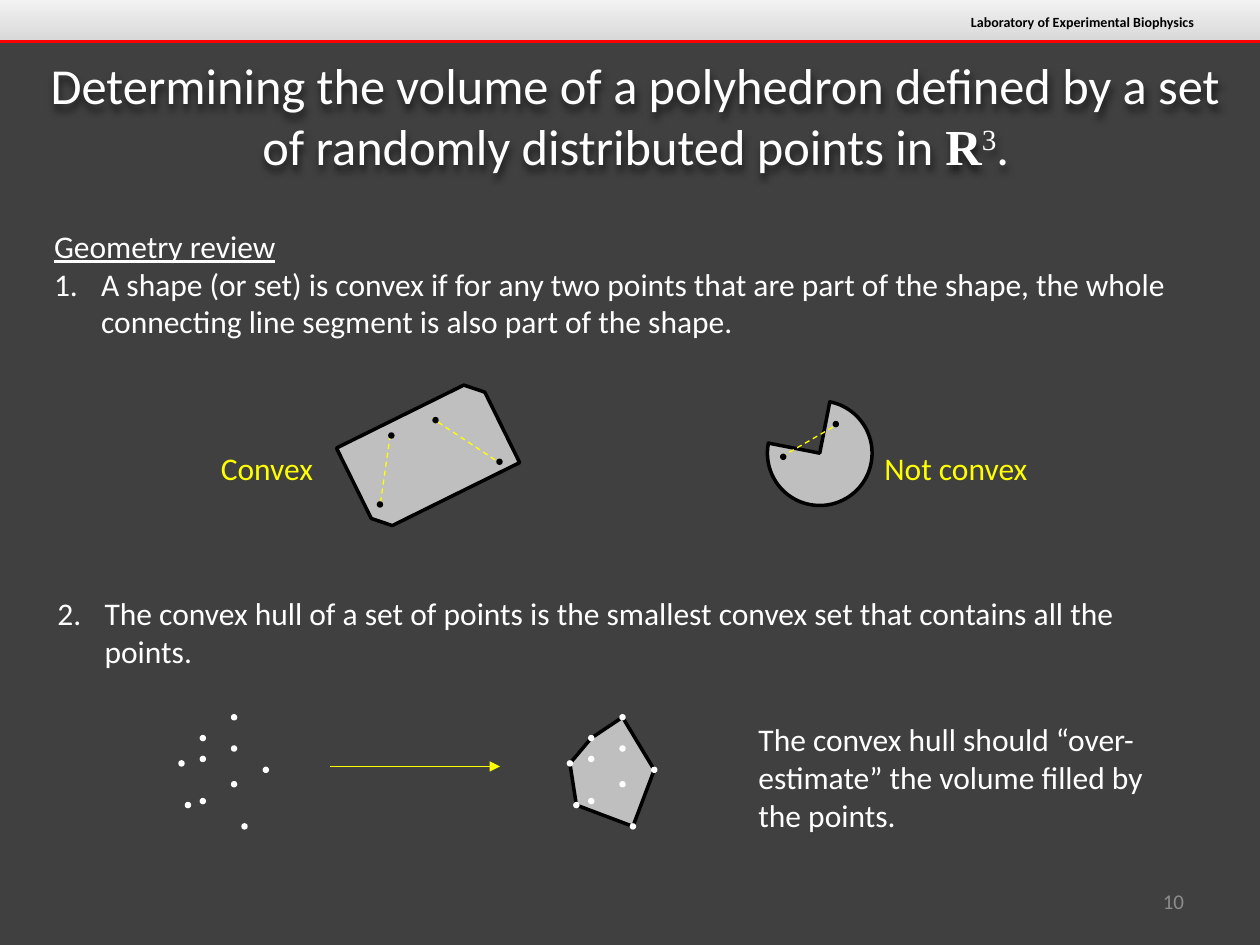
from lxml.etree import SubElement as Sub
from pptx import Presentation
from pptx.dml.color import RGBColor as RGB
from pptx.enum.dml import MSO_LINE as Dash
from pptx.enum.shapes import MSO_CONNECTOR as Link, MSO_SHAPE as Kind
from pptx.enum.text import MSO_ANCHOR as Anchor, MSO_AUTO_SIZE as Fit, PP_ALIGN as Align
from pptx.oxml.ns import qn
from pptx.util import Cm, Pt

HUES = {
    "back": "404040", "low": "D8D8D8", "high": "F2F2F2", "rule": "FF0000",
    "ink": "000000", "text": "FFFFFF", "mark": "FFFF00", "body": "BFBFBF",
    "page": "8C8C8C",
}
WIDE, HIGH, BAND = 25.4, 19.05, 0.84
DOT = 0.13
INDENT = 0.95

# Dot centres of the point cloud, and the dots on its hull in order
CLOUD = [
    (3.66, 15.39), (4.09, 14.88), (4.72, 15.81), (4.09, 15.3), (4.72, 14.46),
    (3.79, 16.23), (4.93, 16.66), (5.36, 15.52), (4.72, 15.09), (4.09, 16.15),
]
HULL = [0, 1, 4, 7, 6, 5]
SHIFT = 7.83

# Line segments inside the two shapes, and the dots at their ends
CHORDS = [
    ((9.98, 9.27), (8.71, 8.43)),
    ((7.67, 10.13), (7.87, 8.76)),
    ((16.79, 8.61), (15.82, 9.17)),
]
ENDS = [
    (10.07, 9.31), (8.78, 8.47), (7.89, 8.78),
    (7.66, 10.17), (16.85, 8.55), (15.79, 9.21),
]


def hue(name):
    return RGB.from_string(HUES[name])


class Deck:
    def __init__(self):
        self.prs = Presentation()
        self.prs.slide_width, self.prs.slide_height = Cm(WIDE), Cm(HIGH)
        self.slide = self.prs.slides.add_slide(self.prs.slide_layouts[6])
        self.items = self.slide.shapes
        self.face = {"name": "Calibri", "size": Pt(18)}
        fill = self.slide.background.fill
        fill.solid()
        fill.fore_color.rgb = hue("back")

    def paint(self, shape, fill, edge=None):
        shape.shadow.inherit = False
        shape.fill.solid()
        shape.fill.fore_color.rgb = hue(fill)
        if edge:
            shape.line.color.rgb = hue(edge)
            shape.line.width = Pt(2)
        else:
            shape.line.fill.background()
        return shape

    def shape(self, kind, box, fill, edge=None, turn=0):
        item = self.items.add_shape(kind, *map(Cm, box))
        item.rotation = turn
        return self.paint(item, fill, edge)

    def dots(self, spots, fill):
        for x, y in spots:
            self.shape(Kind.OVAL, (x - DOT / 2, y - DOT / 2, DOT, DOT), fill)

    def outline(self, spots, fill, edge):
        first, *rest = [(Cm(x), Cm(y)) for x, y in spots]
        pen = self.items.build_freeform(*first)
        pen.add_line_segments(rest, close=True)
        return self.paint(pen.convert_to_shape(), fill, edge)

    def line(self, start, end, tint, width=0.75, dash=None, arrow=False):
        item = self.items.add_connector(Link.STRAIGHT, *map(Cm, start + end))
        item.line.color.rgb = hue(tint)
        item.line.width = Pt(width)
        if dash:
            item.line.dash_style = dash
        if arrow:
            Sub(item.line._get_or_add_ln(), qn("a:tailEnd"), type="triangle")
        Sub(item._element.spPr, qn("a:effectLst"))

    def text(self, box, paras, tint="text", align=Align.LEFT, fit=Fit.NONE,
             anchor=Anchor.TOP, **base):
        """Each paragraph is (number or None, [(words, format), ...])."""
        item = self.items.add_textbox(*map(Cm, box))
        frame = item.text_frame
        frame.word_wrap, frame.auto_size = True, fit
        frame.vertical_anchor = anchor
        for i, (number, runs) in enumerate(paras):
            para = frame.add_paragraph() if i else frame.paragraphs[0]
            para.alignment = align
            if number:
                self.count(para, number)
            for words, extra in runs:
                run = para.add_run()
                run.text = words
                run.font.color.rgb = hue(tint)
                style = {**self.face, **base, **extra}
                raised = style.pop("raised", False)
                for key, value in style.items():
                    setattr(run.font, key, value)
                if raised:
                    run._r.get_or_add_rPr().set("baseline", "30000")
        return item

    def note(self, box, words, **look):
        return self.text(box, [(None, [(words, {})])], **look)

    def count(self, para, number):
        props = para._p.get_or_add_pPr()
        props.set("marL", str(Cm(INDENT)))
        props.set("indent", str(-Cm(INDENT)))
        Sub(props, qn("a:buFont"), typeface="+mj-lt")
        Sub(props, qn("a:buAutoNum"), type="arabicPeriod", startAt=str(number))

    def shade(self, item):
        """Give the words of an unfilled box a soft shadow."""
        effects = Sub(item._element.spPr, qn("a:effectLst"))
        drop = Sub(effects, qn("a:outerShdw"), blurRad="50800", dist="38100",
                   dir="5400000", algn="t", rotWithShape="0")
        tint = Sub(drop, qn("a:srgbClr"), val=HUES["ink"])
        Sub(tint, qn("a:alpha"), val="60000")

    def header(self, words):
        fill = self.shape(Kind.RECTANGLE, (0, 0, WIDE, BAND), "high").fill
        fill.gradient()
        fill.gradient_angle = 90
        for stop, name in zip(fill.gradient_stops, ("low", "high")):
            stop.color.rgb = hue(name)
        self.note((19.2, 0.15, 5.13, 0.6), words, tint="ink",
                  align=Align.RIGHT, fit=Fit.SHAPE_TO_FIT_TEXT,
                  size=Pt(8), bold=True)
        self.line((0, BAND), (WIDE, BAND), "rule", 1.5)


def main():
    deck = Deck()
    grow = {"fit": Fit.SHAPE_TO_FIT_TEXT}
    serif = {"name": "Times New Roman"}

    deck.header("Laboratory of Experimental Biophysics")
    title = deck.text((0.43, 0.97, 24.77, 1.57), [(None, [
        ("Determining the volume of a polyhedron defined by a set of "
         "randomly distributed points in ", {}),
        ("R", {**serif, "bold": True}),
        ("3", {**serif, "raised": True}),
        (".", {}),
    ])], align=Align.CENTER, size=Pt(28.8))
    deck.shade(title)
    deck.note((18.2, 17.65, 5.92, 1.02), "10", tint="page",
              align=Align.RIGHT, anchor=Anchor.MIDDLE, size=Pt(12))

    deck.text((0.84, 4.45, 23.29, 2.57), [
        (None, [("Geometry review", {"underline": True})]),
        (1, [("A shape (or set) is convex if for any two points that are part "
              "of the shape, the whole connecting line segment is also part "
              "of the shape.", {})]),
    ], **grow)
    deck.shape(Kind.SNIP_2_DIAG_RECTANGLE, (7.04, 8.23, 3.18, 1.9),
               "body", "ink", 333.7)
    deck.shape(Kind.PIE, (15.47, 8.08, 2.11, 2.11), "body", "ink", 281.1)
    for start, end in CHORDS:
        deck.line(start, end, "mark", dash=Dash.DASH)
    deck.dots(ENDS, "ink")
    deck.note((3.18, 8.92, 3.38, 1.02), "Convex", tint="mark",
              align=Align.RIGHT, **grow)
    deck.note((17.58, 8.92, 3.81, 1.02), "Not convex", tint="mark", **grow)

    deck.text((0.91, 11.86, 23.29, 1.8), [
        (2, [("The convex hull of a set of points is the smallest convex set "
              "that contains all the points.", {})]),
    ], **grow)
    moved = [(x + SHIFT, y) for x, y in CLOUD]
    deck.outline([moved[i] for i in HULL], "body", "ink")
    for spots in (CLOUD, moved):
        deck.dots(spots, "text")
    deck.line((6.65, 15.45), (10.08, 15.45), "mark", arrow=True)
    deck.note((15.04, 14.4, 8.38, 2.57),
              "The convex hull should “over-estimate” the volume filled by "
              "the points.", **grow)

    deck.prs.save("out.pptx")


if __name__ == "__main__":
    main()
